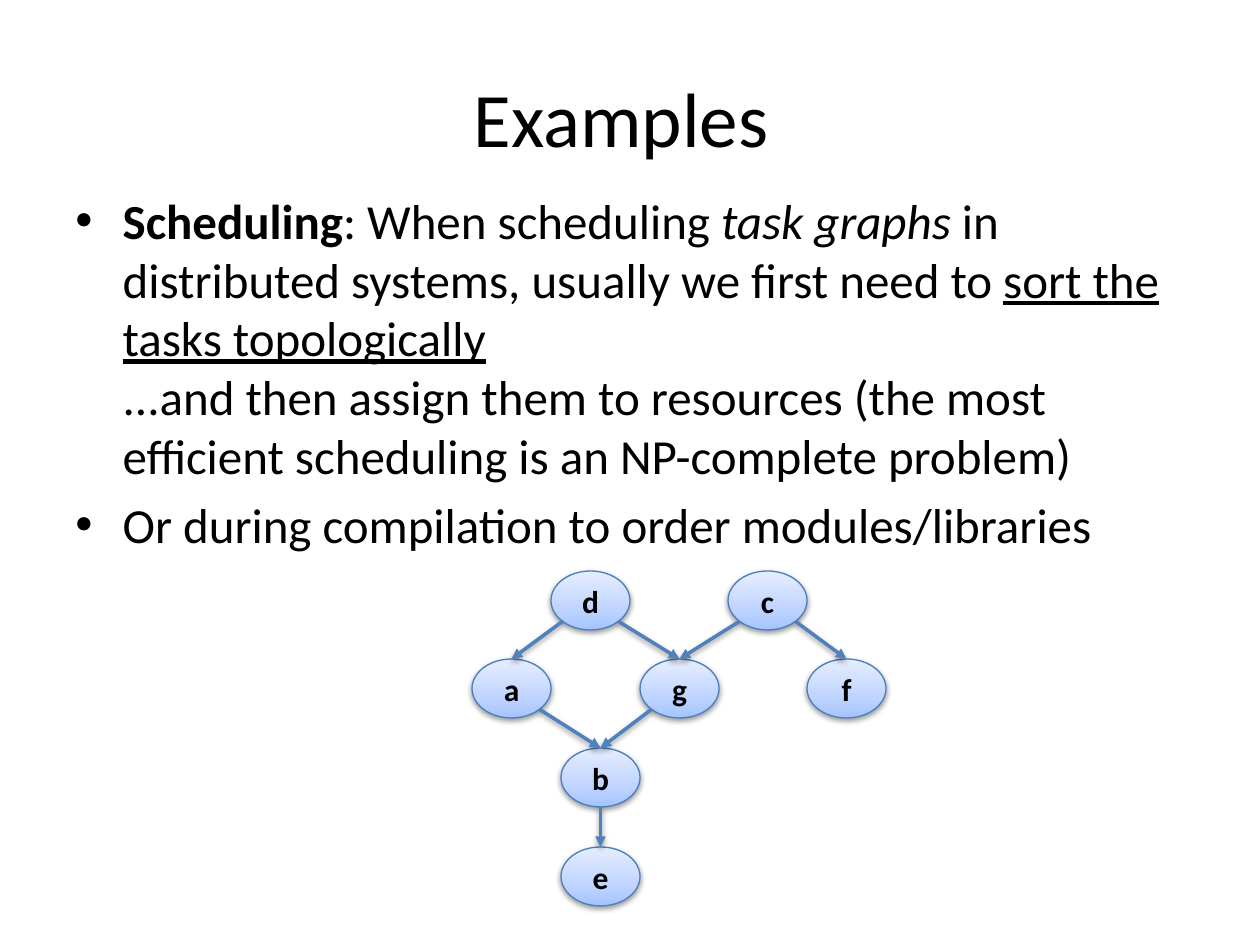
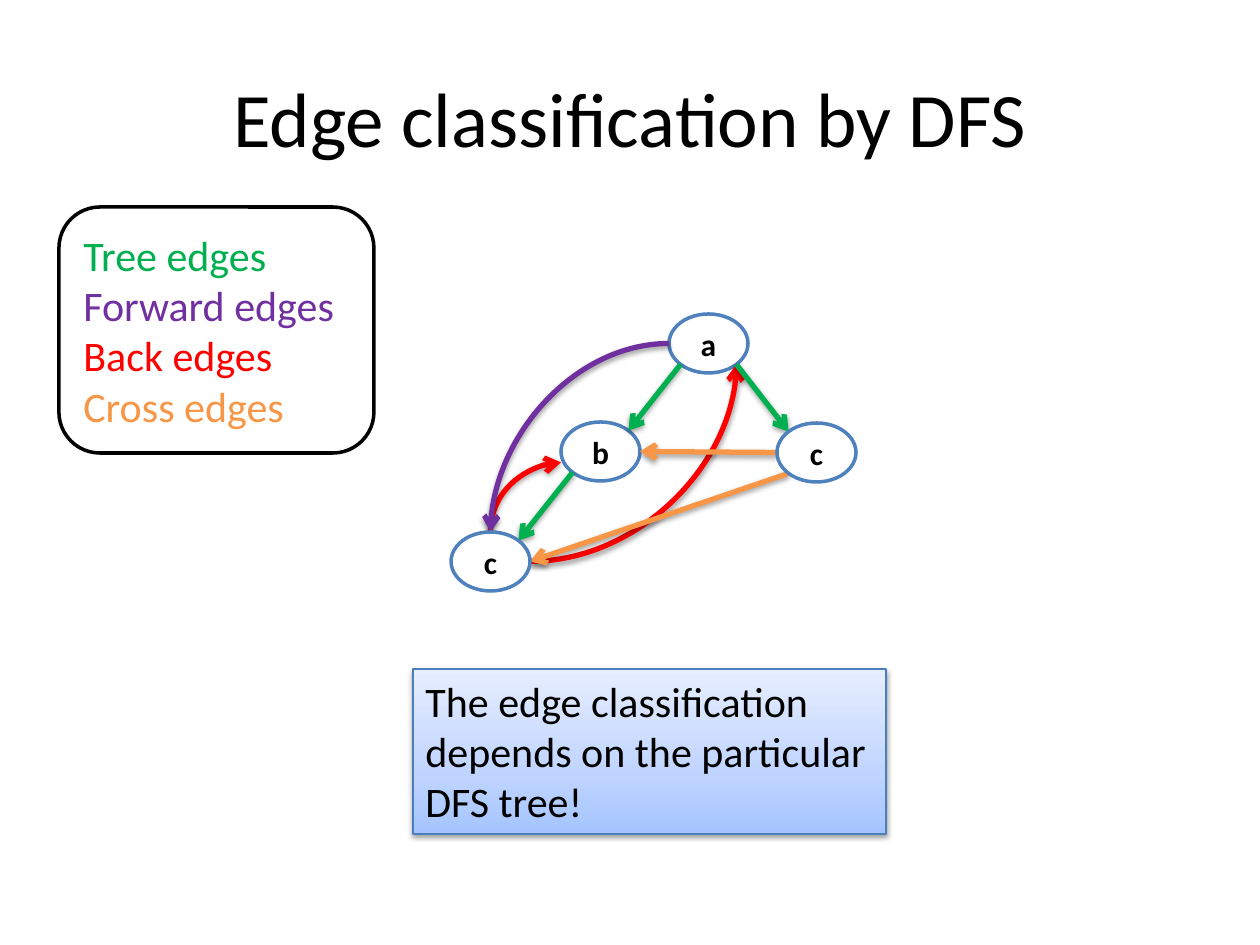
"""Build two slides on topological sorting and depth-first edge classes."""
import math

import pptx
import pptx.dml.color
import pptx.enum.dml
import pptx.enum.shapes
import pptx.enum.text
import pptx.oxml
import pptx.oxml.ns
import pptx.util

COLOURS = {
    "ink": "000000", "paper": "FFFFFF", "blue": "4F81BD", "rim": "4B7EBC",
    "tree": "00B050", "forward": "7030A0", "back": "FF0000", "cross": "F79646",
}
GLOSS = [(0, "A4C4FF"), (35, "BFD4FF"), (100, "E6EEFF")]
FONT = "Calibri"
SCALE = 914400 / 126
NODE = (79, 59)

TITLE_AREA = (63, 38, 1134, 157)
BODY_AREA = (63, 184, 1134, 624)
LEGEND_AREA = (59, 207, 315, 246)
NOTE_AREA = (413, 669, 473, 165)

SCHEDULING_TITLE = "Examples "
SCHEDULING_POINTS = [
    [("Scheduling", {"bold": True}),
     (": When scheduling ", {}),
     ("task graphs", {"italic": True}),
     (" in distributed systems, usually we first need to ", {}),
     ("sort the tasks topologically", {"underline": True}),
     (" ", {}),
     ("\n", {}),
     ("...and then assign them to resources (the most efficient scheduling "
      "is an NP-complete problem)", {})],
    [("Or during compilation to order modules/libraries", {})],
]
TASKS = {
    "a": (472, 659), "d": (551, 571), "c": (728, 571), "g": (640, 659),
    "f": (807, 659), "b": (561, 748), "e": (561, 847),
}
DEPENDENCIES = [
    ("d", "sw", "a"), ("d", "se", "g"), ("c", "sw", "g"), ("c", "se", "f"),
    ("a", "se", "b"), ("g", "sw", "b"), ("b", "s", "e"),
]

CLASSES_TITLE = "Edge classification by DFS"
LEGEND = [("Tree edges", "tree"), ("Forward edges", "forward"),
          ("Back edges", "back"), ("Cross edges", "cross")]
NOTE = "The edge classification depends on the particular DFS tree!"
VERTICES = {
    "left": ("b", (561, 422)), "root": ("a", (669, 314)),
    "right": ("c", (777, 423)), "leaf": ("c", (451, 532)),
}
BEHIND = ("left", "root")
CLASSIFIED = [
    ("tree", "root", "sw", "left", "ne", "line"),
    ("tree", "left", "sw", "leaf", "ne", "line"),
    ("back", "leaf", "e", "root", "se", "curve"),
    ("back", "leaf", "n", "left", "wsw", "rise"),
    ("forward", "root", "w", "leaf", "n", "curve"),
    ("tree", "root", "se", "right", "nw", "line"),
    ("cross", "right", "w", "left", "e", "line"),
    ("cross", "right", "sw", "leaf", "e", "line"),
]

SIDE = math.sqrt(0.5)
SITES = {
    "n": (0, -1), "s": (0, 1), "w": (-1, 0), "e": (1, 0), "wsw": (-1, 0.37),
    "nw": (-SIDE, -SIDE), "ne": (SIDE, -SIDE),
    "sw": (-SIDE, SIDE), "se": (SIDE, SIDE),
}
MIDDLE = pptx.enum.text.MSO_ANCHOR.MIDDLE
TOP = pptx.enum.text.MSO_ANCHOR.TOP
LEFT = pptx.enum.text.PP_ALIGN.LEFT
CENTER = pptx.enum.text.PP_ALIGN.CENTER
SHAPES = pptx.enum.shapes.MSO_SHAPE
CONNECTORS = pptx.enum.shapes.MSO_CONNECTOR
qn = pptx.oxml.ns.qn


def emu(*pixels):
    return [round(value * SCALE) for value in pixels]


def rgb(name):
    return pptx.dml.color.RGBColor.from_string(COLOURS[name])


def add_xml(parent, text):
    namespace = 'xmlns:a="http://schemas.openxmlformats.org/drawingml/2006/main"'
    element = pptx.oxml.parse_xml(text.replace(" ", f" {namespace} ", 1))
    parent.append(element)


def add_shadow(effects):
    add_xml(effects, '<a:outerShdw blurRad="40000" dist="20000" dir="5400000" '
            'rotWithShape="0"><a:srgbClr val="000000"><a:alpha val="38000"/>'
            '</a:srgbClr></a:outerShdw>')


def write(box, paragraphs, size, align=LEFT, anchor=TOP, bullet=False, **shared):
    frame = box.text_frame
    frame.word_wrap = True
    frame.vertical_anchor = anchor
    for index, spans in enumerate(paragraphs):
        para = frame.paragraphs[0] if index == 0 else frame.add_paragraph()
        para.alignment = align
        if bullet:
            para.space_before = pptx.util.Pt(size * 0.2)
            properties = para._p.get_or_add_pPr()
            properties.set("marL", "342900")
            properties.set("indent", "-342900")
            add_xml(properties, '<a:buFont typeface="Arial"/>')
            add_xml(properties, '<a:buChar char="•"/>')
        for text, extra in spans:
            if text == "\n":
                para.add_line_break()
                continue
            span = para.add_run()
            span.text = text
            values = {"name": FONT, "size": pptx.util.Pt(size), **shared, **extra}
            span.font.color.rgb = rgb(values.pop("colour", "ink"))
            for name, value in values.items():
                setattr(span.font, name, value)


def add_text(page, area, paragraphs, size, **layout):
    write(page.shapes.add_textbox(*emu(*area)), paragraphs, size, **layout)


def add_panel(page, kind, area, line, width, glossy=False):
    shape = page.shapes.add_shape(kind, *emu(*area))
    shape.shadow.inherit = False
    properties = shape.element.spPr
    if glossy:
        shape.fill.gradient()
        shape.fill.gradient_angle = 90
        stops = next(properties.iter(qn("a:gsLst")))
        for stop in list(stops):
            stops.remove(stop)
        for place, colour in GLOSS:
            add_xml(stops, f'<a:gs pos="{place * 1000}">'
                    f'<a:srgbClr val="{colour}"/></a:gs>')
        add_shadow(properties.find(qn("a:effectLst")))
    else:
        shape.fill.solid()
        shape.fill.fore_color.rgb = rgb("paper")
    shape.line.color.rgb = rgb(line)
    shape.line.width = pptx.util.Pt(width)
    return shape


def add_node(page, label, corner, line, width, glossy=False):
    node = add_panel(page, SHAPES.OVAL, (*corner, *NODE), line, width, glossy)
    write(node, [[(label, {})]], 18, CENTER, MIDDLE, bold=True)


def site(corner, name):
    return [start + length / 2 * (1 + shift)
            for start, length, shift in zip(corner, NODE, SITES[name])]


def add_edge(page, start, end, colour, width, head, course="line"):
    if course == "rise":
        middle = [(a + b) / 2 for a, b in zip(start, end)]
        reach = [abs(end[1] - start[1]) / 2, abs(end[0] - start[0]) / 2]
        start = [m - r for m, r in zip(middle, reach)]
        end = [m + r for m, r in zip(middle, reach)]
    kind = CONNECTORS.STRAIGHT if course == "line" else CONNECTORS.CURVE
    edge = page.shapes.add_connector(kind, *emu(*start, *end))
    properties = edge.element.spPr
    if course != "line":
        properties.find(qn("a:prstGeom")).set("prst", "curvedConnector2")
    if course == "rise":
        properties.find(qn("a:xfrm")).set("rot", str(270 * 60000))
    edge.line.color.rgb = rgb(colour)
    edge.line.width = pptx.util.Pt(width)
    add_xml(properties.find(qn("a:ln")), f'<a:tailEnd type="{head}"/>')
    add_xml(properties, '<a:effectLst />')
    add_shadow(properties.find(qn("a:effectLst")))


def add_page(deck, title):
    page = deck.slides.add_slide(deck.slide_layouts[6])
    add_text(page, TITLE_AREA, [[(title, {})]], 44, align=CENTER, anchor=MIDDLE)
    return page


def build_scheduling(deck):
    page = add_page(deck, SCHEDULING_TITLE)
    add_text(page, BODY_AREA, SCHEDULING_POINTS, 28, bullet=True)
    for label, corner in TASKS.items():
        add_node(page, label, corner, "rim", 0.75, glossy=True)
    for source, leave, target in DEPENDENCIES:
        add_edge(page, site(TASKS[source], leave), site(TASKS[target], "n"),
                 "blue", 2, "triangle")


def build_classes(deck):
    page = add_page(deck, CLASSES_TITLE)
    for name in BEHIND:
        add_node(page, *VERTICES[name], "blue", 2)
    legend = add_panel(page, SHAPES.ROUNDED_RECTANGLE, LEGEND_AREA, "ink", 2)
    write(legend, [[(text, {"colour": colour})] for text, colour in LEGEND],
          24, anchor=MIDDLE)
    for colour, source, leave, target, arrive, course in CLASSIFIED:
        add_edge(page, site(VERTICES[source][1], leave),
                 site(VERTICES[target][1], arrive), colour, 3, "arrow", course)
    for name in VERTICES:
        if name not in BEHIND:
            add_node(page, *VERTICES[name], "blue", 2)
    note = add_panel(page, SHAPES.RECTANGLE, NOTE_AREA, "rim", 0.75, glossy=True)
    write(note, [[(NOTE, {})]], 24)


deck = pptx.Presentation()
deck.slide_width, deck.slide_height = emu(1260, 945)
build_scheduling(deck)
build_classes(deck)
deck.save("out.pptx")
